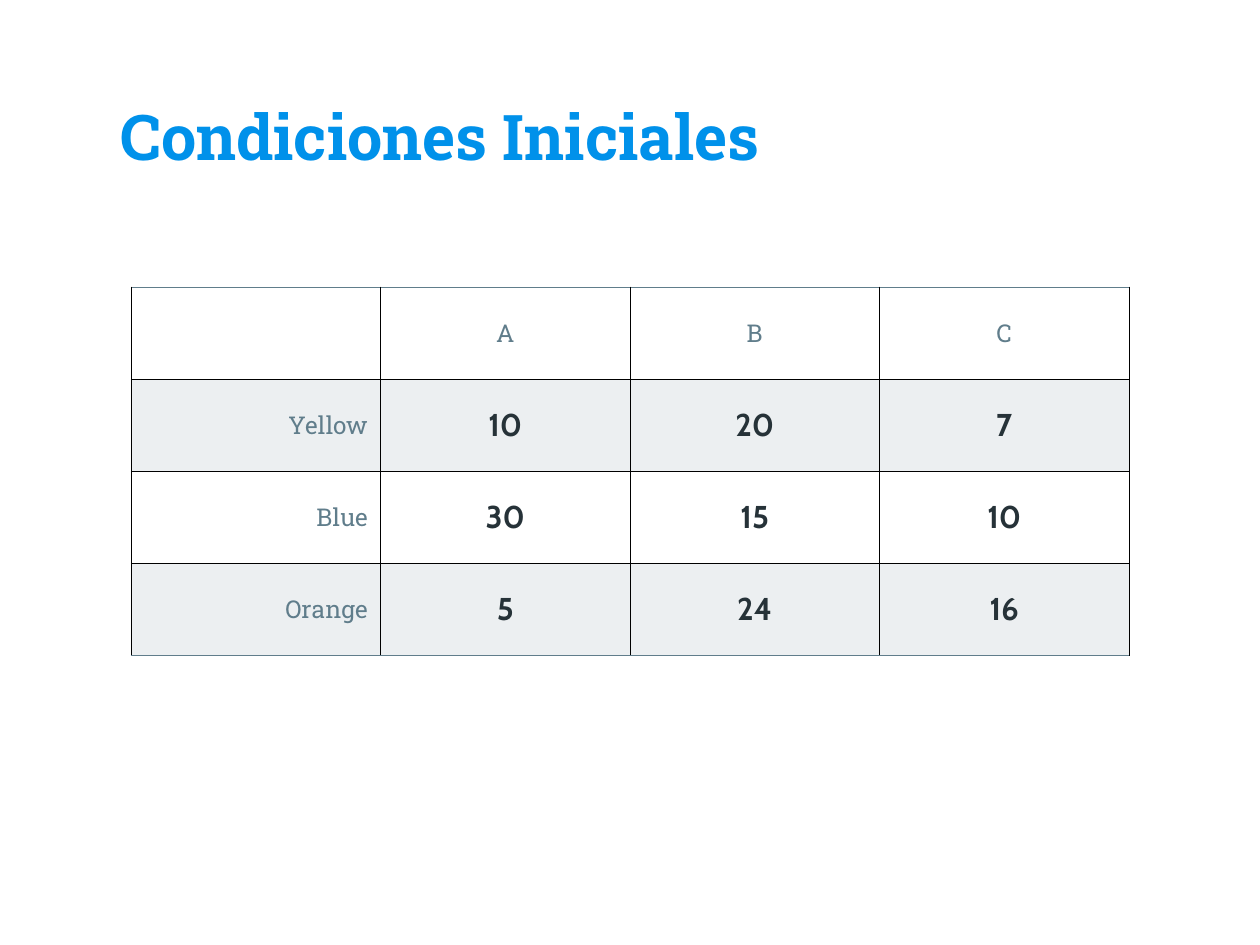
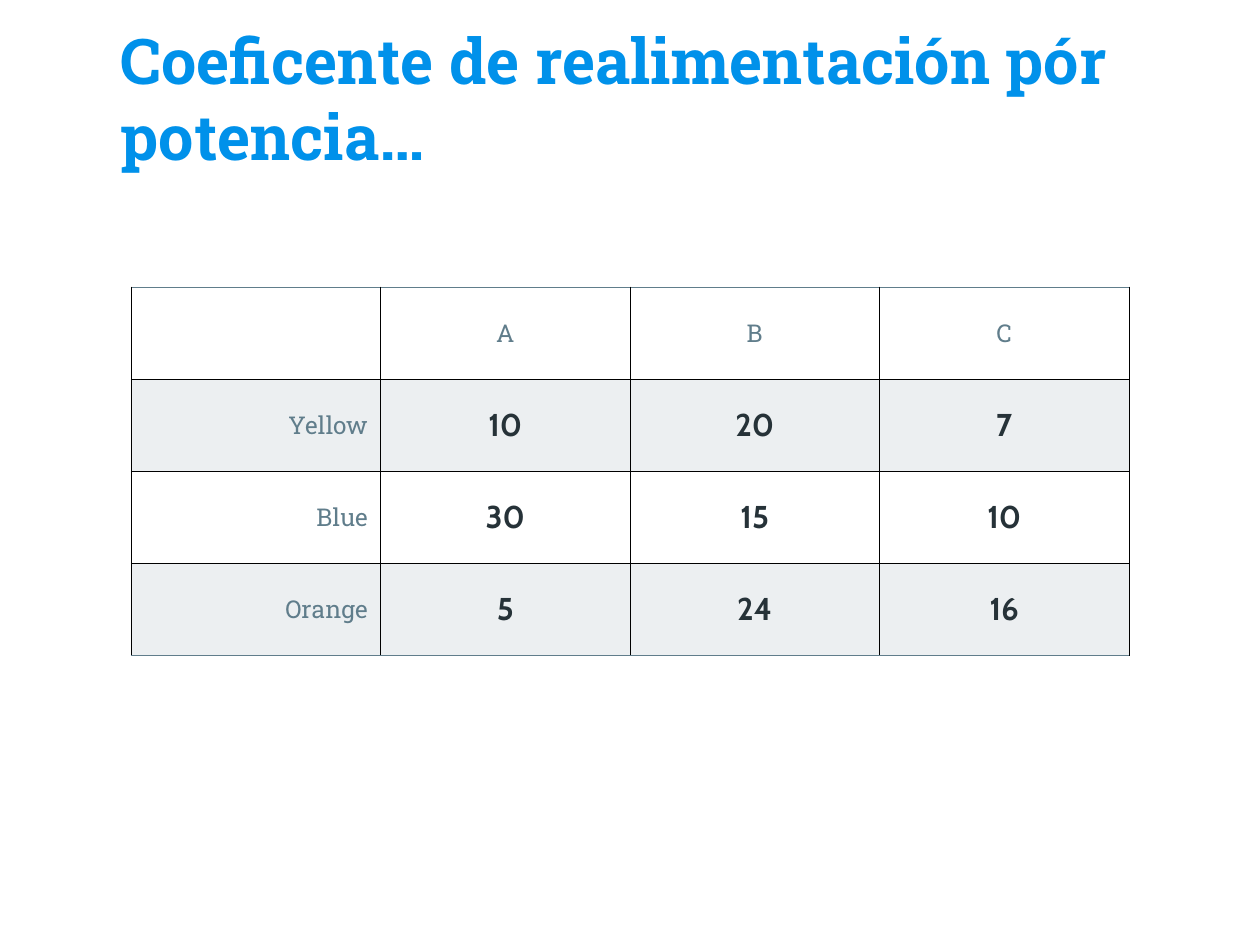
from lxml.etree import SubElement
from pptx import Presentation
from pptx.dml.color import RGBColor
from pptx.enum.text import MSO_ANCHOR, MSO_AUTO_SIZE, PP_ALIGN
from pptx.oxml.ns import qn
from pptx.util import Inches, Pt

TITLES = ["Condiciones Iniciales", "Coeficente de realimentación pór potencia…"]
ROWS = [
    ("", "A", "B", "C"),
    ("Yellow", "10", "20", "7"),
    ("Blue", "30", "15", "10"),
    ("Orange", "5", "24", "16"),
]

TITLE_BLUE = RGBColor(0x00, 0x91, 0xEA)
LABEL_GRAY = RGBColor(0x60, 0x7D, 0x8B)
VALUE_DARK = RGBColor(0x26, 0x32, 0x38)
BAND_GRAY = RGBColor(0xEC, 0xEF, 0xF1)
BLACK = RGBColor(0x00, 0x00, 0x00)
SLAB = "Roboto Slab"
SANS = "Cabin"

TITLE_AREA = (0.86, 0.45, 8.28, 1.02)
TABLE_LEFT, TABLE_TOP = 1.04, 2.28
COLUMN_WIDTH, ROW_HEIGHT = 1.98, 0.73


def write(frame, text, font=SLAB, size=14, color=LABEL_GRAY, bold=False, align=PP_ALIGN.LEFT):
    para = frame.paragraphs[0]
    para.alignment = align
    span = para.add_run()
    span.text = text
    span.font.name = font
    span.font.size = Pt(size)
    span.font.bold = bold
    span.font.color.rgb = color


def add_title(page, text):
    box = page.shapes.add_textbox(*map(Inches, TITLE_AREA))
    frame = box.text_frame
    frame.word_wrap = True
    frame.auto_size = MSO_AUTO_SIZE.NONE
    frame.vertical_anchor = MSO_ANCHOR.BOTTOM
    frame.margin_left = frame.margin_right = Inches(0.1)
    frame.margin_top = frame.margin_bottom = Inches(0.1)
    write(frame, text, size=36, color=TITLE_BLUE, bold=True)


def draw_border(cell, side, color, width):
    properties = cell._tc.get_or_add_tcPr()
    line = SubElement(properties, qn(f"a:ln{side}"), w=str(Pt(width)))
    fill = SubElement(line, qn("a:solidFill"))
    SubElement(fill, qn("a:srgbClr"), val=str(color))


def format_cell(cell, row, column):
    outer_sides = {0: "T", len(ROWS) - 1: "B"}
    for side in "LRTB":
        if outer_sides.get(row) == side:
            draw_border(cell, side, LABEL_GRAY, 0.75)
        else:
            draw_border(cell, side, BLACK, 0.34)
    if row % 2:
        cell.fill.solid()
        cell.fill.fore_color.rgb = BAND_GRAY
    else:
        cell.fill.background()
    cell.vertical_anchor = MSO_ANCHOR.MIDDLE


def add_values_table(page):
    row_count, column_count = len(ROWS), len(ROWS[0])
    table = page.shapes.add_table(
        row_count, column_count, Inches(TABLE_LEFT), Inches(TABLE_TOP),
        Inches(COLUMN_WIDTH * column_count), Inches(ROW_HEIGHT * row_count),
    ).table
    table.first_row = table.horz_banding = False
    for row, texts in enumerate(ROWS):
        for column, text in enumerate(texts):
            cell = table.cell(row, column)
            format_cell(cell, row, column)
            if not text:
                continue
            if row and column:
                write(cell.text_frame, text, font=SANS, size=18, color=VALUE_DARK,
                      bold=True, align=PP_ALIGN.CENTER)
            else:
                write(cell.text_frame, text,
                      align=PP_ALIGN.RIGHT if row else PP_ALIGN.CENTER)


def main():
    deck = Presentation()
    deck.slide_width, deck.slide_height = Inches(10), Inches(7.5)
    for title in TITLES:
        page = deck.slides.add_slide(deck.slide_layouts[6])
        add_values_table(page)
        add_title(page, title)
    deck.save("out.pptx")


if __name__ == "__main__":
    main()
